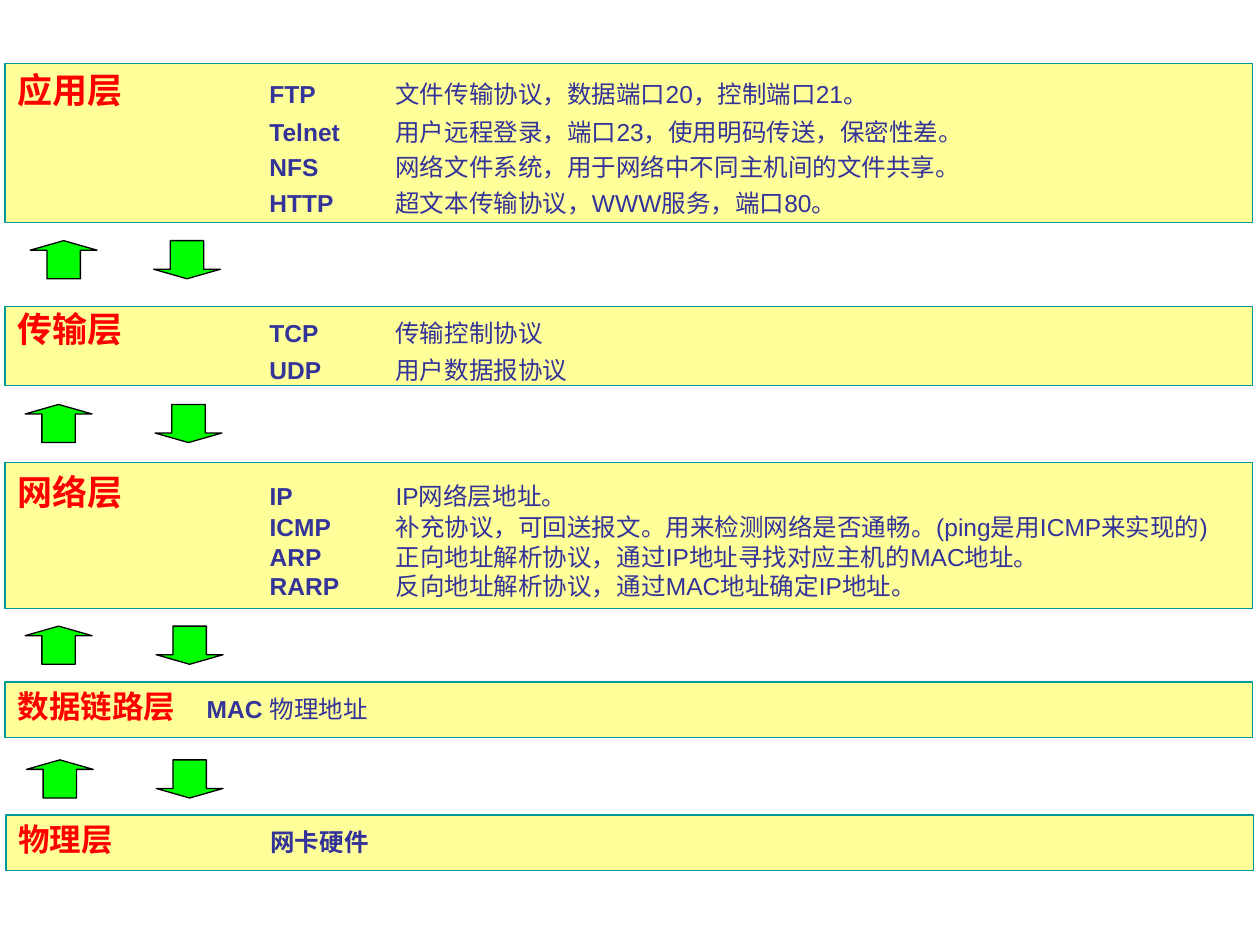
from lxml import etree
from pptx import Presentation
from pptx.dml.color import RGBColor
from pptx.enum.shapes import MSO_SHAPE
from pptx.enum.text import MSO_ANCHOR, MSO_AUTO_SIZE, PP_ALIGN
from pptx.oxml.ns import qn
from pptx.util import Pt

RECT, UP, DOWN = MSO_SHAPE.RECTANGLE, MSO_SHAPE.UP_ARROW, MSO_SHAPE.DOWN_ARROW
LEFT, MIDDLE, FIXED = PP_ALIGN.LEFT, MSO_ANCHOR.MIDDLE, MSO_AUTO_SIZE.NONE

YELLOW = RGBColor(0xFF, 0xFF, 0x99)
TEAL = RGBColor(0x00, 0x99, 0x99)
RED = RGBColor(0xFF, 0x00, 0x00)
NAVY = RGBColor(0x33, 0x33, 0x99)
GREEN = RGBColor(0x00, 0xFF, 0x00)
BLACK = RGBColor(0x00, 0x00, 0x00)

INCH = 72
WIDE = 712.8
FRAME = {"word_wrap": True, "auto_size": FIXED, "vertical_anchor": MIDDLE,
         "margin_left": Pt(7.2), "margin_right": Pt(7.2),
         "margin_top": Pt(3.6), "margin_bottom": Pt(3.6)}

APP = [("FTP", "文件传输协议，数据端口20，控制端口21。"),
       ("Telnet", "用户远程登录，端口23，使用明码传送，保密性差。"),
       ("NFS", "网络文件系统，用于网络中不同主机间的文件共享。"),
       ("HTTP", "超文本传输协议，WWW服务，端口80。")]
TRANS = [("TCP", "传输控制协议"), ("UDP", "用户数据报协议")]
NET = [("IP", "IP网络层地址。"),
       ("ICMP", "补充协议，可回送报文。用来检测网络是否通畅。(ping是用ICMP来实现的)"),
       ("ARP", "正向地址解析协议，通过IP地址寻找对应主机的MAC地址。"),
       ("RARP", "反向地址解析协议，通过MAC地址确定IP地址。")]
LINK = [("MAC", "物理地址")]
PHYS = [("网卡硬件", "")]

# top, left of the up arrow, left of the down arrow
ARROWS = [(137.5, 17.3, 87.8), (231.1, 14.4, 88.6),
          (357.8, 14.4, 89.3), (434.2, 15.1, 89.3)]


def assign(obj, values):
    for key, value in values.items():
        setattr(obj, key, value)


class Deck:
    def __init__(self):
        self.prs = Presentation()
        assign(self.prs, {"slide_width": Pt(720), "slide_height": Pt(540)})
        self.slide = self.prs.slides.add_slide(self.prs.slide_layouts[0])
        self.font = "Arial"

    def paint(self, shape, fill, line):
        shape.fill.solid()
        shape.fill.fore_color.rgb = fill
        shape.line.color.rgb = line
        shape.line.width = Pt(0.75)

    def shape(self, kind, left, top, width, height):
        shape = self.slide.shapes.add_shape(
            kind, Pt(left), Pt(top), Pt(width), Pt(height))
        shape.shadow.inherit = False
        return shape

    def run(self, para, text, size, color, bold):
        run = para.add_run()
        run.text = text
        assign(run.font, {"name": self.font, "size": Pt(size), "bold": bold})
        run.font.color.rgb = color

    def format(self, para, gap, pitch):
        """Set spacing, and a tab stop at every inch."""
        assign(para, {"alignment": LEFT, "space_before": Pt(gap),
                      "line_spacing": pitch})
        tabs = etree.SubElement(para._p.get_or_add_pPr(), qn("a:tabLst"))
        for i in range(8):
            etree.SubElement(tabs, qn("a:tab"), pos=str(Pt(i * INCH)), algn="l")

    def layer(self, name, rows, top, height, holder=None, left=2.9,
              size=20, gap=3.5, pitch=1.0, lead="\t\t", split=True):
        """Draw one layer; split gives each row its own paragraph."""
        box = holder or self.shape(RECT, left, top, WIDE, height)
        assign(box, {"left": Pt(left), "top": Pt(top),
                     "width": Pt(WIDE), "height": Pt(height)})
        self.paint(box, YELLOW, TEAL)
        frame = box.text_frame
        assign(frame, FRAME)
        para = frame.paragraphs[0]
        self.format(para, gap, pitch)
        self.run(para, name, size, RED, True)
        for i, (key, note) in enumerate(rows):
            if i and split:
                para = frame.add_paragraph()
                self.format(para, gap, pitch)
            elif i:
                para.add_line_break()
            self.run(para, lead, 14, NAVY, False)
            self.run(para, key, 14, NAVY, True)
            if note:
                self.run(para, "\t" + note, 14, NAVY, False)

    def arrow(self, kind, left, top):
        arrow = self.shape(kind, left, top, 38.2, 21.8)
        assign(arrow.adjustments, {})
        arrow.adjustments[0], arrow.adjustments[1] = 0.5, 0.25
        self.paint(arrow, GREEN, BLACK)


def main():
    deck = Deck()
    title, sub = deck.slide.placeholders
    deck.layer("网络层", NET, 264.3, 83.4, holder=title, gap=0, split=False)
    deck.layer("数据链路层", LINK, 389.7, 31.7, holder=sub,
               size=18, pitch=0.8, lead="\t")
    deck.layer("传输层", TRANS, 175.1, 45.2)
    deck.layer("应用层", APP, 36.3, 90.8)
    deck.layer("物理层", PHYS, 465.8, 31.7, left=3.5, size=18, pitch=0.8)
    for top, up, down in ARROWS:
        deck.arrow(UP, up, top)
        deck.arrow(DOWN, down, top)
    deck.prs.save("out.pptx")


if __name__ == "__main__":
    main()
